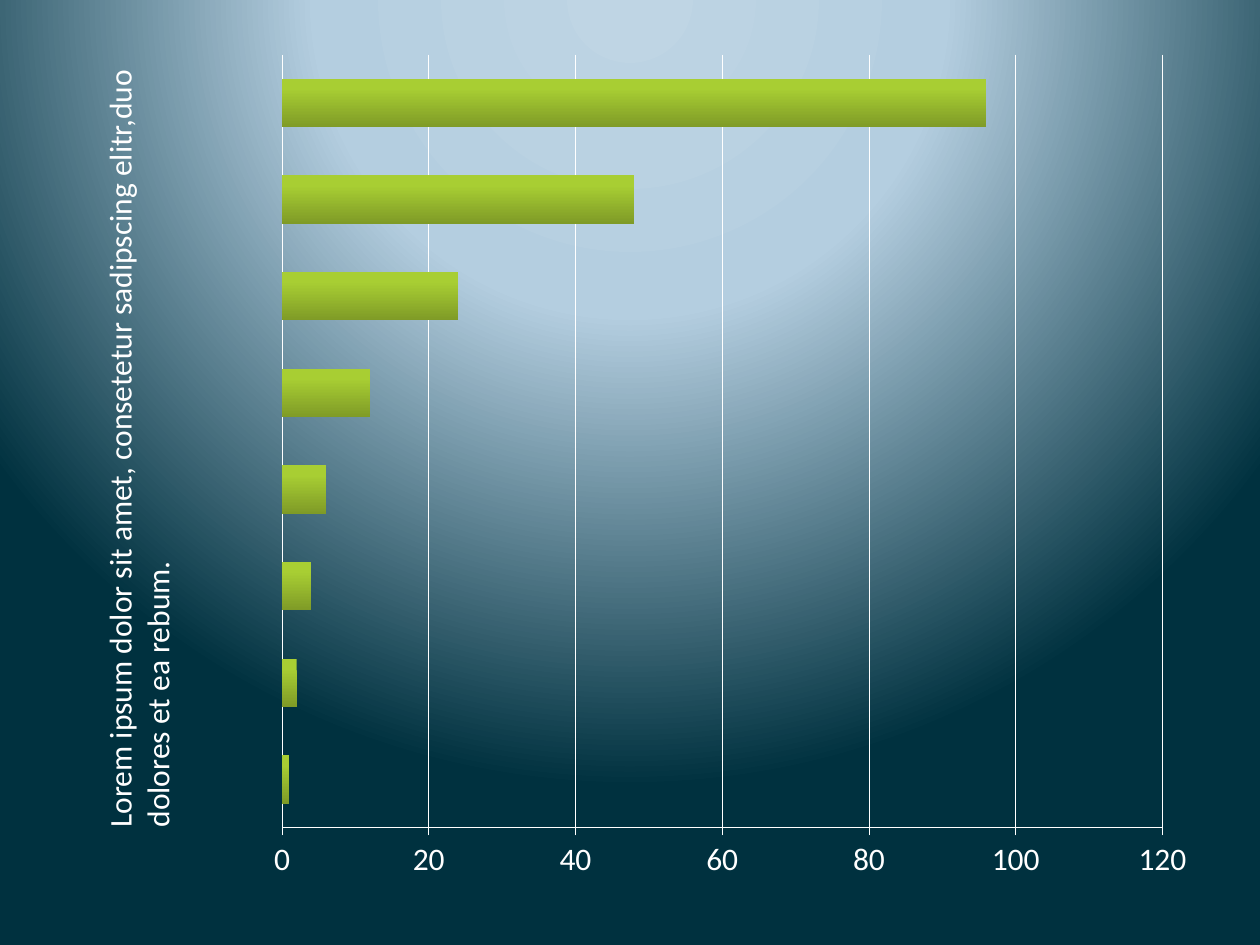
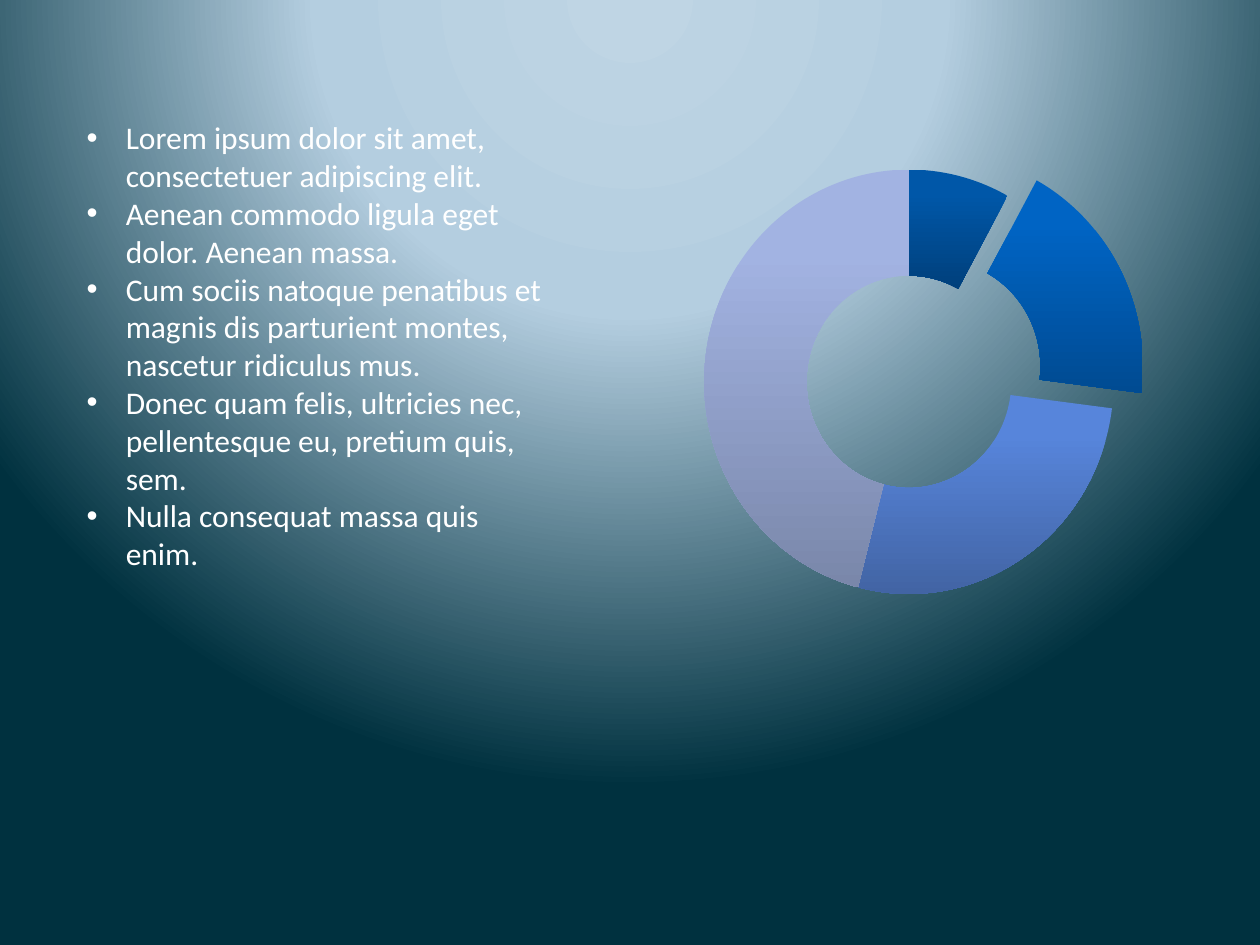
from dataclasses import dataclass

from lxml import etree
from pptx import Presentation
from pptx.chart.chart import Chart
from pptx.chart.data import CategoryChartData
from pptx.dml.color import RGBColor
from pptx.dml.fill import FillFormat
from pptx.enum.chart import XL_CHART_TYPE as ChartType, XL_TICK_MARK as TickMark
from pptx.enum.text import MSO_AUTO_SIZE as AutoSize
from pptx.oxml import parse_xml
from pptx.oxml.ns import nsdecls, qn
from pptx.slide import Slide, SlideMaster
from pptx.text.text import Font
from pptx.util import Inches, Pt

WHITE = "FFFFFF"
FONT_NAME = "Calibri"
FONT_SIZE = Pt(18)
BACKGROUND_STOPS = ((0, "BFD5E4"), (40, "B4CEE0"), (100, "00313F"))
BULLET_INDENT = Inches(0.31)

BAR_VALUES = (1, 2, 4, 6, 12, 24, 48, 96)
RING_VALUES = (8, 19, 27, 46)
EXPLODED_SLICE = 1
EXPLOSION_PERCENT = 32
SIDE_CAPTION = (
    "Lorem ipsum dolor sit amet, consetetur sadipscing elitr,duo dolores et ea rebum."
)
BULLETS = (
    "Lorem ipsum dolor sit amet, consectetuer adipiscing elit.",
    "Aenean commodo ligula eget dolor. Aenean massa.",
    "Cum sociis natoque penatibus et magnis dis parturient montes, nascetur ridiculus mus.",
    "Donec quam felis, ultricies nec, pellentesque eu, pretium quis, sem.",
    "Nulla consequat massa quis enim.",
)


@dataclass(frozen=True)
class Area:
    left: float
    top: float
    width: float
    height: float

    def lengths(self) -> tuple:
        return tuple(Inches(n) for n in (self.left, self.top, self.width, self.height))


@dataclass(frozen=True)
class Shade:
    top: str
    bottom: str


BAR_SHADE = Shade("A8CE33", "7F9B27")
RING_SHADES = (
    Shade("0057A8", "00407C"),
    Shade("0064C4", "004B92"),
    Shade("5785DB", "4264A4"),
    Shade("A2B3E2", "7A87AA"),
)


def rgb(code: str) -> RGBColor:
    return RGBColor.from_string(code)


def style_font(font: Font) -> None:
    font.name = FONT_NAME
    font.size = FONT_SIZE
    font.color.rgb = rgb(WHITE)


def shade_down(fill: FillFormat, shade: Shade) -> None:
    """Fill with a gradient that stays flat at the top and darkens downwards."""
    fill.gradient()
    fill.gradient_angle = 270
    for stop, color, position in zip(
        fill.gradient_stops, (shade.top, shade.bottom), (0.2, 1)
    ):
        stop.color.rgb = rgb(color)
        stop.position = position


def set_background(master: SlideMaster) -> None:
    """Give every slide a round glow centred above its top edge."""
    master.background.fill.solid()
    solid = next(master.element.iter(qn("p:bgPr")))[0]
    stops = "".join(
        f'<a:gs pos="{position * 1000}"><a:srgbClr val="{color}"/></a:gs>'
        for position, color in BACKGROUND_STOPS
    )
    gradient = parse_xml(
        f'<a:gradFill {nsdecls("a")} rotWithShape="1"><a:gsLst>{stops}</a:gsLst>'
        '<a:path path="circle">'
        '<a:fillToRect l="50000" t="-80000" r="50000" b="180000"/>'
        "</a:path></a:gradFill>"
    )
    solid.getparent().replace(solid, gradient)


def place_plot(chart: Chart, plot_area: Area) -> None:
    """Fix the inner plot area, given in fractions of the chart."""
    plot = next(chart.element.iter(qn("c:plotArea")))
    for layout in plot.findall(qn("c:layout")):
        plot.remove(layout)
    layout = etree.Element(qn("c:layout"))
    manual = etree.SubElement(layout, qn("c:manualLayout"))
    settings = (
        ("layoutTarget", "inner"),
        ("xMode", "edge"),
        ("yMode", "edge"),
        ("x", plot_area.left),
        ("y", plot_area.top),
        ("w", plot_area.width),
        ("h", plot_area.height),
    )
    for name, value in settings:
        etree.SubElement(manual, qn(f"c:{name}"), val=str(value))
    plot.insert(0, layout)


def add_chart(
    slide: Slide, kind: ChartType, area: Area, plot_area: Area, values: tuple
) -> Chart:
    data = CategoryChartData()
    data.categories = [str(n) for n in range(1, len(values) + 1)]
    data.add_series("Series 1", values)
    chart = slide.shapes.add_chart(kind, *area.lengths(), data).chart
    chart.has_legend = False
    chart.has_title = False
    style_font(chart.font)
    place_plot(chart, plot_area)
    return chart


def add_text(
    slide: Slide, area: Area, lines: tuple, rotation: int = 0, bulleted: bool = False
) -> None:
    box = slide.shapes.add_textbox(*area.lengths())
    box.rotation = rotation
    frame = box.text_frame
    frame.word_wrap = True
    frame.auto_size = AutoSize.SHAPE_TO_FIT_TEXT
    frame.text = "\n".join(lines)
    for para in frame.paragraphs:
        style_font(para.font)
        if bulleted:
            properties = para._p.get_or_add_pPr()
            properties.set("marL", str(BULLET_INDENT))
            properties.set("indent", str(-BULLET_INDENT))
            bullet_font = etree.Element(qn("a:buFont"), typeface="Arial")
            bullet = etree.Element(qn("a:buChar"), char="•")
            properties.insert(0, bullet_font)
            properties.insert(1, bullet)


def build_bar_slide(slide: Slide) -> None:
    chart = add_chart(
        slide,
        ChartType.BAR_CLUSTERED,
        Area(1.7, 0.43, 7.8, 6.54),
        Area(0.069, 0, 0.896, 0.943),
        BAR_VALUES,
    )
    plot = chart.plots[0]
    plot.gap_width = 100
    plot.vary_by_categories = False
    shade_down(plot.series[0].format.fill, BAR_SHADE)

    chart.category_axis.visible = False
    axis = chart.value_axis
    axis.major_tick_mark = TickMark.OUTSIDE
    axis.has_major_gridlines = True
    for line in (axis.format.line, axis.major_gridlines.format.line):
        line.color.rgb = rgb(WHITE)
        line.width = Pt(0.5)

    add_text(slide, Area(-2.09, 3.12, 6.38, 0.71), (SIDE_CAPTION,), rotation=270)


def build_ring_slide(slide: Slide) -> None:
    chart = add_chart(
        slide,
        ChartType.DOUGHNUT,
        Area(5.31, 0.76, 3.76, 4.63),
        Area(0.077, 0.019, 0.896, 0.943),
        RING_VALUES,
    )
    plot = chart.plots[0]
    plot.vary_by_categories = True
    points = plot.series[0].points
    for index, shade in enumerate(RING_SHADES):
        point_format = points[index].format
        shade_down(point_format.fill, shade)
        point_format.line.fill.background()

    slices = list(chart.element.iter(qn("c:dPt")))
    explosion = etree.Element(qn("c:explosion"), val=str(EXPLOSION_PERCENT))
    slices[EXPLODED_SLICE].find(qn("c:spPr")).addprevious(explosion)

    add_text(slide, Area(0.59, 0.89, 3.86, 4.04), BULLETS, bulleted=True)


def main() -> None:
    deck = Presentation()
    deck.slide_width = Inches(10)
    deck.slide_height = Inches(7.5)
    set_background(deck.slide_master)
    blank_layout = deck.slide_layouts[6]
    for build in (build_bar_slide, build_ring_slide):
        build(deck.slides.add_slide(blank_layout))
    deck.save("out.pptx")


if __name__ == "__main__":
    main()
